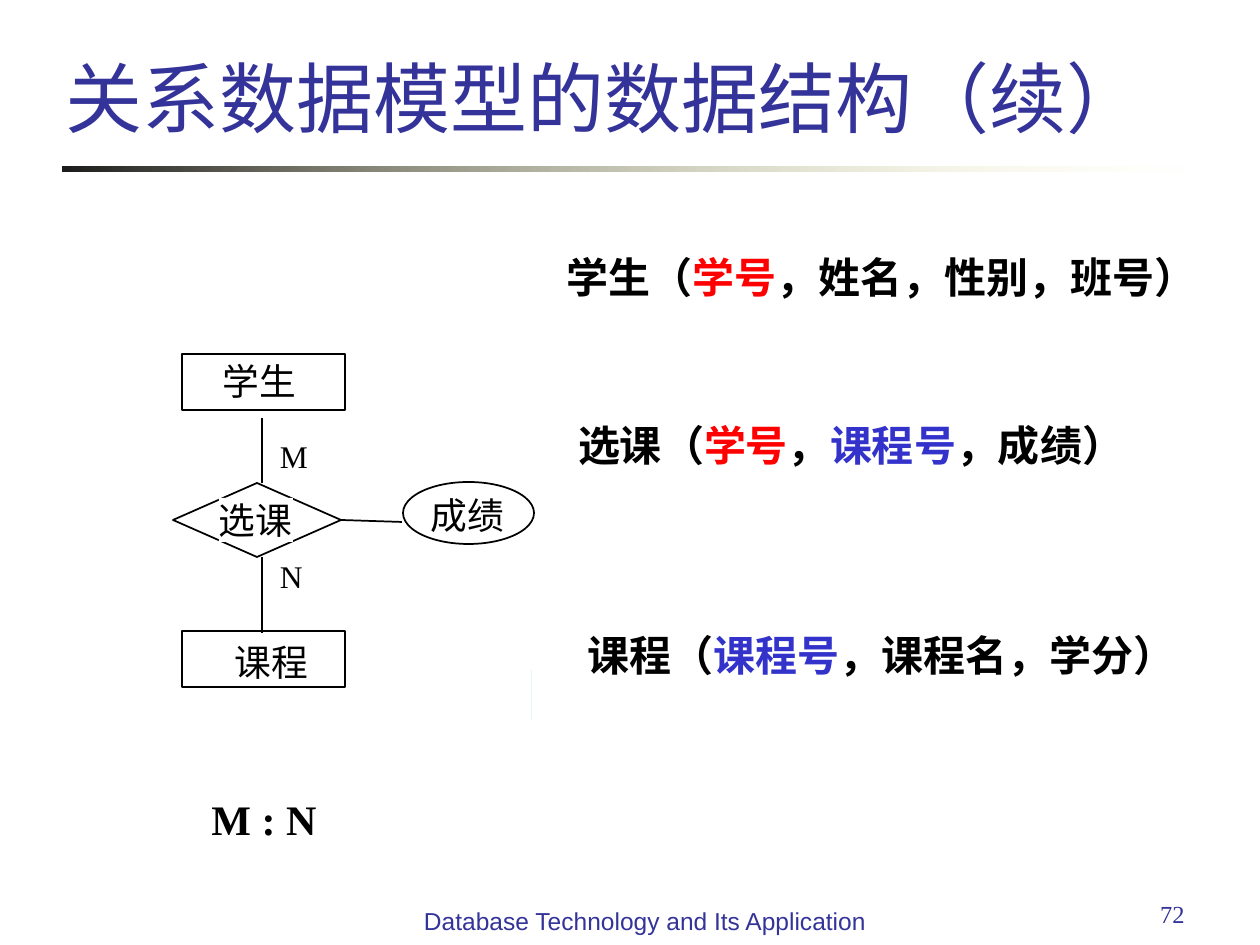
from lxml.etree import SubElement
from pptx import Presentation
from pptx.dml.color import RGBColor
from pptx.enum.shapes import MSO_CONNECTOR, MSO_SHAPE
from pptx.enum.text import MSO_ANCHOR, MSO_AUTO_SIZE, PP_ALIGN
from pptx.oxml.ns import qn
from pptx.util import Emu, Pt

EMU_PER_PX = 914400 / 126
COLORS = {
    "black": "000000", "white": "FFFFFF", "navy": "333399", "key": "FF0000",
    "foreign": "3333CC", "bar_start": "1C1C1C", "bar_end": "FFFFB7", "mark": "00E4A8",
}
CJK, SERIF, SANS = "Noto Sans CJK SC", "Times New Roman", "Arial"


def px(*lengths):
    """Turn pixel lengths into EMU."""
    return [Emu(round(length * EMU_PER_PX)) for length in lengths]


def color(name):
    """Look up a named colour."""
    return RGBColor.from_string(COLORS[name])


def format_run(run, size, font, color_name, bold=False):
    """Set the size, typefaces, colour and weight of a run."""
    run.font.size = Pt(size)
    run.font.name = font
    run.font.bold = bold
    run.font.color.rgb = color(color_name)
    SubElement(run.font._element, qn("a:ea"), typeface=CJK)


def write(shape, pieces, size, font, bold=False, align=PP_ALIGN.LEFT):
    """Fill a shape with one paragraph of (text, colour) pieces."""
    paragraph = shape.text_frame.paragraphs[0]
    paragraph.alignment = align
    for text, color_name in pieces:
        run = paragraph.add_run()
        run.text = text
        format_run(run, size, font, color_name, bold)


def add_text(slide, box, pieces, size, font, bold=False):
    """Add an unwrapped text box without margins that fits its text."""
    shape = slide.shapes.add_textbox(*px(*box))
    frame = shape.text_frame
    frame.word_wrap = False
    frame.auto_size = MSO_AUTO_SIZE.SHAPE_TO_FIT_TEXT
    frame.margin_left = frame.margin_top = frame.margin_right = frame.margin_bottom = 0
    write(shape, pieces, size, font, bold)
    return shape


def add_padded_text(slide, box, text, size, font, color_name, bold=False, align=PP_ALIGN.LEFT):
    """Add a wrapped text box with the usual margins."""
    shape = slide.shapes.add_textbox(*px(*box))
    shape.text_frame.word_wrap = True
    write(shape, [(text, color_name)], size, font, bold, align)


def add_label(slide, left, top, text):
    """Add a white label that names a diagram node."""
    label = add_text(slide, (left, top, 74, 44), [(text, "black")], 21, CJK)
    label.fill.solid()
    label.fill.fore_color.rgb = color("white")


def add_node(slide, kind, box):
    """Add an outlined, unfilled diagram node."""
    node = slide.shapes.add_shape(kind, *px(*box))
    node.shadow.inherit = False
    node.fill.background()
    node.line.color.rgb = color("black")
    node.line.width = Pt(1)
    return node


def add_line(slide, *ends):
    """Add a thin black connector."""
    line = slide.shapes.add_connector(MSO_CONNECTOR.STRAIGHT, *px(*ends))
    line.line.color.rgb = color("black")
    line.line.width = Pt(1)
    SubElement(line._element.spPr, qn("a:effectLst"))
    return line


def add_block(slide, box):
    """Add a rectangle without outline."""
    block = slide.shapes.add_shape(MSO_SHAPE.RECTANGLE, *px(*box))
    block.shadow.inherit = False
    block.line.fill.background()
    return block


def add_title_bar(slide):
    """Add the bar under the title, fading out to the right."""
    bar = add_block(slide, (63, 167, 1134, 5))
    bar.fill.gradient()
    bar.fill.gradient_angle = 0
    for stop, name, position in zip(bar.fill.gradient_stops, ("bar_start", "bar_end"), (0, 1)):
        stop.color.rgb = color(name)
        stop.position = position
    end_color = bar._element.spPr.findall(".//" + qn("a:srgbClr"))[-1]
    SubElement(end_color, qn("a:alpha"), val="0")


def set_title(slide, text):
    """Place and format the title."""
    title = slide.shapes.title
    title.left, title.top, title.width, title.height = px(53, 0, 1106, 149)
    title.text_frame.auto_size = MSO_AUTO_SIZE.NONE
    title.text_frame.vertical_anchor = MSO_ANCHOR.BOTTOM
    write(title, [(text, "navy")], 44, SERIF)


def add_relations(slide):
    """Write the three relation schemas with their keys coloured."""
    relations = [
        ((567, 252, 630, 50),
         [("学生（", "black"), ("学号", "key"), ("，姓名，性别，班号）", "black")]),
        ((578, 420, 546, 50),
         [("选课（", "black"), ("学号", "key"), ("，", "black"),
          ("课程号", "foreign"), ("，成绩）", "black")]),
        ((588, 630, 588, 50),
         [("课程（", "black"), ("课程号", "foreign"), ("，课程名，学分）", "black")]),
    ]
    for box, pieces in relations:
        add_text(slide, box, pieces, 24, CJK, bold=True)


def add_diagram(slide):
    """Draw the entity-relationship diagram."""
    relationship = add_node(slide, MSO_SHAPE.DIAMOND, (173, 483, 168, 74))
    add_label(slide, 219, 498, "选课")
    for top, label_left, label_top, name in ((354, 223, 359, "学生"), (631, 235, 640, "课程")):
        add_node(slide, MSO_SHAPE.RECTANGLE, (182, top, 163, 56))
        add_label(slide, label_left, label_top, name)
    for top, text in ((437, "M"), (557, "N")):
        add_text(slide, (280, top, 28, 38), [(text, "black")], 18, SERIF)
    add_line(slide, 262, 418, 262, 483)
    add_line(slide, 262, 557, 262, 633)
    add_node(slide, MSO_SHAPE.OVAL, (403, 482, 131, 62))
    add_label(slide, 431, 493, "成绩")
    attribute_line = add_line(slide, 341, 520, 402, 522)
    attribute_line.begin_connect(relationship, 3)
    add_padded_text(slide, (199, 787, 158, 63), "M : N", 24, SERIF, "black", bold=True)


def main():
    """Build and save the slide."""
    presentation = Presentation()
    presentation.slide_width, presentation.slide_height = px(1260, 945)
    slide = presentation.slides.add_slide(presentation.slide_layouts[5])
    add_title_bar(slide)
    set_title(slide, "关系数据模型的数据结构（续）")
    add_relations(slide)
    mark = add_block(slide, (532, 670, 0, 50))
    mark.fill.solid()
    mark.fill.fore_color.rgb = color("mark")
    add_diagram(slide)
    add_padded_text(slide, (903, 893, 294, 66), "72", 14, SERIF, "navy", align=PP_ALIGN.RIGHT)
    add_padded_text(slide, (402, 900, 486, 66), "Database Technology and Its Application",
                    14, SANS, "navy", align=PP_ALIGN.CENTER)
    presentation.save("out.pptx")


if __name__ == "__main__":
    main()
